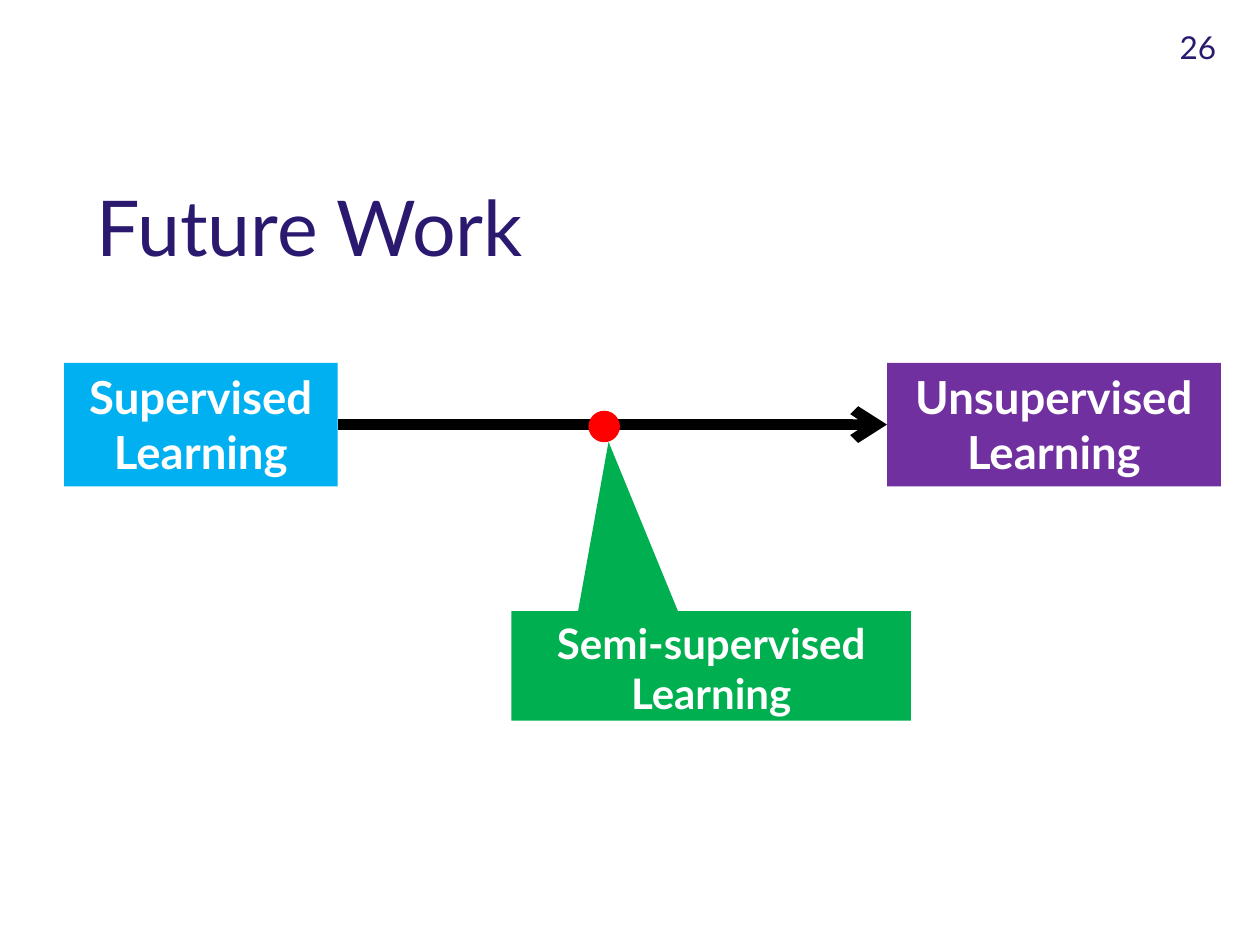
from lxml import etree
from pptx import Presentation
from pptx.dml.color import RGBColor
from pptx.enum.shapes import MSO_CONNECTOR, MSO_SHAPE
from pptx.enum.text import MSO_ANCHOR, PP_ALIGN
from pptx.oxml.ns import qn
from pptx.util import Inches, Pt

LEFT, CENTER, RIGHT = PP_ALIGN.LEFT, PP_ALIGN.CENTER, PP_ALIGN.RIGHT
TOP = MSO_ANCHOR.TOP
RECTANGLE, OVAL = MSO_SHAPE.RECTANGLE, MSO_SHAPE.OVAL
CALLOUT = MSO_SHAPE.RECTANGULAR_CALLOUT
STRAIGHT = MSO_CONNECTOR.STRAIGHT
RIGHT_SIDE, LEFT_SIDE = 3, 1

FONT = "Lato"
NAVY = RGBColor(0x2A, 0x19, 0x6F)
WHITE = RGBColor(0xFF, 0xFF, 0xFF)
BLACK = RGBColor(0, 0, 0)
BLUE = RGBColor(0x00, 0xB0, 0xF0)
PURPLE = RGBColor(0x70, 0x30, 0xA0)
GREEN = RGBColor(0x00, 0xB0, 0x50)
RED = RGBColor(0xFF, 0, 0)

# text, (left, top, width, height) in inches, size, alignment, line spacing
HEADINGS = [
    ("Future Work", (0.67, 1.5, 9, 0.83), 44, LEFT, 0.83),
    ("26", (7.67, 0.17, 2.08, 0.5), 18, RIGHT, 1.0),
]
ROW_TOP, ROW_HEIGHT = 2.88, 0.98
# lines, left, width, fill
ENDS = [
    (["Supervised", "Learning"], 0.51, 2.17, BLUE),
    (["Unsupervised", "Learning"], 7.04, 2.65, PURPLE),
]
MIDDLE = ["Semi-supervised", "Learning"]
CALLOUT_BOX = (4.06, 4.85, 3.17, 0.87)
CALLOUT_TIP = (-0.257, -2.044)
DOT_BOX = (4.67, 3.26, 0.25, 0.25)


def write_lines(shape, lines, size, color, align, bold=False, spacing=1.0):
    frame = shape.text_frame
    frame.vertical_anchor = TOP
    for index, line in enumerate(lines):
        para = frame.add_paragraph() if index else frame.paragraphs[0]
        para.alignment = align
        para.line_spacing = spacing
        span = para.add_run()
        span.text = line
        span.font.name = FONT
        span.font.size = Pt(size)
        span.font.bold = bold
        span.font.color.rgb = color


def add_filled(slide, kind, box, fill):
    shape = slide.shapes.add_shape(kind, *map(Inches, box))
    shape.shadow.inherit = False
    shape.fill.solid()
    shape.fill.fore_color.rgb = fill
    shape.line.fill.background()
    return shape


def add_arrow(slide, start, end):
    arrow = slide.shapes.add_connector(STRAIGHT, 0, 0, 0, 0)
    arrow.begin_connect(start, RIGHT_SIDE)
    arrow.end_connect(end, LEFT_SIDE)
    arrow.line.color.rgb = BLACK
    arrow.line.width = Pt(6)
    etree.SubElement(arrow.line._get_or_add_ln(), qn("a:tailEnd"), type="arrow")
    etree.SubElement(arrow._element.spPr, qn("a:effectLst"))


def main():
    deck = Presentation()
    deck.slide_width, deck.slide_height = Inches(10), Inches(7.5)
    slide = deck.slides.add_slide(deck.slide_layouts[6])

    for text, box, size, align, spacing in HEADINGS:
        heading = slide.shapes.add_textbox(*map(Inches, box))
        heading.text_frame.word_wrap = True
        write_lines(heading, [text], size, NAVY, align, spacing=spacing)

    ends = []
    for lines, left, width, fill in ENDS:
        end = add_filled(slide, RECTANGLE, (left, ROW_TOP, width, ROW_HEIGHT), fill)
        end.text_frame.word_wrap = False
        write_lines(end, lines, 26, WHITE, CENTER, bold=True)
        ends.append(end)

    add_arrow(slide, *ends)
    add_filled(slide, OVAL, DOT_BOX, RED)

    callout = add_filled(slide, CALLOUT, CALLOUT_BOX, GREEN)
    for index, offset in enumerate(CALLOUT_TIP):
        callout.adjustments[index] = offset
    callout.text_frame.word_wrap = True
    write_lines(callout, MIDDLE, 24, WHITE, CENTER, bold=True)

    deck.save("out.pptx")


if __name__ == "__main__":
    main()
